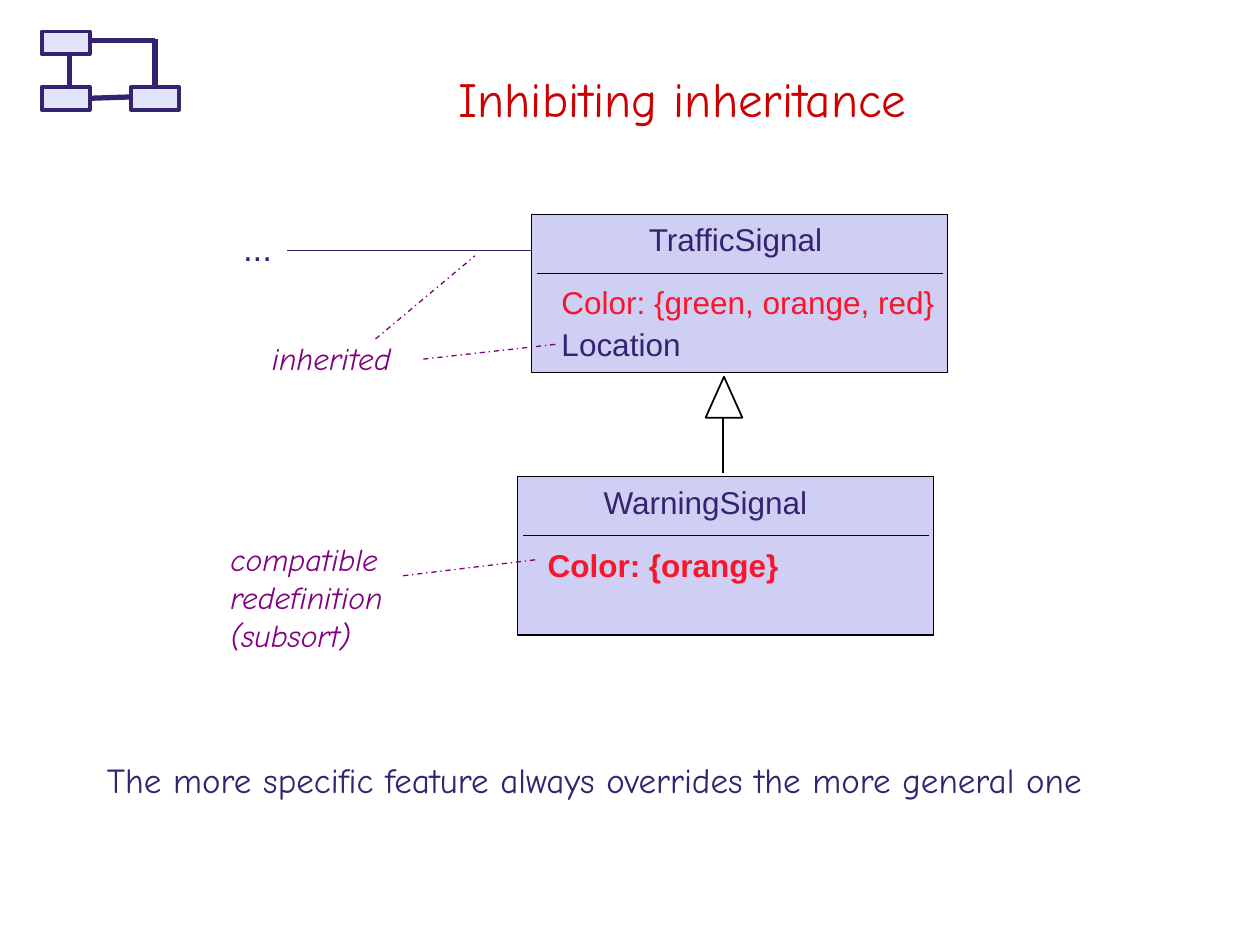
from dataclasses import dataclass

from lxml.etree import SubElement
from pptx import Presentation
from pptx.dml.color import RGBColor
from pptx.enum.dml import MSO_LINE
from pptx.enum.shapes import MSO_CONNECTOR, MSO_SHAPE
from pptx.enum.text import MSO_ANCHOR, PP_ALIGN
from pptx.oxml.ns import qn
from pptx.util import Pt


@dataclass(frozen=True)
class Theme:
    title: str = "CC0000"
    ink: str = "352270"
    changed: str = "F9152B"
    note: str = "800080"
    outline: str = "000000"
    class_fill: str = "CECFF2"
    emblem_fill: str = "E2E5FA"
    hand: str = "Comic Neue"
    sans: str = "Arial"
    title_size: int = 28
    large: int = 20
    body: int = 18


T = Theme()


def rgb(code):
    return RGBColor.from_string(code)


def write(tf, text, font=T.sans, size=T.body, color=T.ink, bold=False,
          italic=False, align=PP_ALIGN.LEFT, before=0, add=False):
    """Write one paragraph, the first one or an added one."""
    p = tf.add_paragraph() if add else tf.paragraphs[0]
    p.alignment = align
    p.space_before = Pt(before)
    r = p.add_run()
    r.text = text
    f = r.font
    f.name, f.size, f.bold, f.italic = font, Pt(size), bold, italic
    f.color.rgb = rgb(color)


def place(sp, left, top, width, height):
    sp.left, sp.top, sp.width, sp.height = map(Pt, (left, top, width, height))


def text_box(s, left, top, width, height, *lines, **fmt):
    sp = s.shapes.add_textbox(Pt(left), Pt(top), Pt(width), Pt(height))
    tf = sp.text_frame
    tf.word_wrap = True
    for i, line in enumerate(lines):
        write(tf, line, add=i > 0, **fmt)
    return tf


def shape(s, kind, left, top, width, height, line, weight, fill=None):
    sp = s.shapes.add_shape(kind, Pt(left), Pt(top), Pt(width), Pt(height))
    sp.shadow.inherit = False
    if fill:
        sp.fill.solid()
        sp.fill.fore_color.rgb = rgb(fill)
    else:
        sp.fill.background()
    sp.line.color.rgb = rgb(line)
    sp.line.width = Pt(weight)
    return sp


def line(s, x1, y1, x2, y2, color=T.outline, weight=0.75, dash=None):
    c = s.shapes.add_connector(MSO_CONNECTOR.STRAIGHT,
                               Pt(x1), Pt(y1), Pt(x2), Pt(y2))
    c.line.color.rgb = rgb(color)
    c.line.width = Pt(weight)
    if dash:
        c.line.dash_style = dash
    SubElement(c._element.spPr, qn("a:effectLst"))


def note_line(s, *ends):
    line(s, *ends, color=T.note, dash=MSO_LINE.DASH_DOT)


def class_box(s, left, top, name, indent):
    """Draw a class with its name and divider; return its attribute text."""
    sp = shape(s, MSO_SHAPE.RECTANGLE, left, top, 237.6, 90.7,
               T.outline, 0.75, T.class_fill)
    tf = sp.text_frame
    tf.vertical_anchor = MSO_ANCHOR.TOP
    tf.margin_left = Pt(indent)
    write(tf, name)
    line(s, left + 3, top + 33.8, left + 234.8, top + 33.8)
    return text_box(s, left + 10, top + 36, 230, 58)


def emblem(s):
    for left, top in ((23.8, 18), (74.9, 49.7), (23.8, 49.7)):
        shape(s, MSO_SHAPE.RECTANGLE, left, top, 27.4, 13,
              T.ink, 2.25, T.emblem_fill)
    for ends in ((50.4, 56.2, 74.9, 55.4), (88.6, 49, 88.6, 22.3),
                 (51.8, 23, 88.6, 23), (39.6, 50.4, 39.6, 30.2)):
        line(s, *ends, color=T.ink, weight=3)


def main():
    prs = Presentation()
    prs.slide_width, prs.slide_height = Pt(720), Pt(540)
    s = prs.slides.add_slide(prs.slide_layouts[5])

    # Title
    title = s.shapes.title
    place(title, 75.6, 23.8, 628.6, 64.1)
    title.text_frame.vertical_anchor = MSO_ANCHOR.MIDDLE
    write(title.text_frame, "Inhibiting inheritance", font=T.hand,
          size=T.title_size, color=T.title, align=PP_ALIGN.CENTER)

    # General class and its association
    line(s, 164.2, 143.3, 342, 143.3, color=T.ink)
    tf = class_box(s, 303.8, 122.4, "TrafficSignal", 67)
    write(tf, "Color: {green, orange, red}", color=T.changed)
    write(tf, "Location", before=2, add=True)
    text_box(s, 131.8, 126, 50.4, 38.2, "...", size=T.large)

    # Generalization arrow
    shape(s, MSO_SHAPE.ISOSCELES_TRIANGLE, 403.2, 215.3, 21, 23.4, T.outline, 1)
    line(s, 413.3, 238.8, 413.3, 270, weight=1)

    # Specific class
    tf = class_box(s, 295.9, 272.2, "WarningSignal", 49)
    write(tf, "Color: {orange}", color=T.changed, bold=True)

    # Annotations
    note = dict(font=T.hand, color=T.note, italic=True)
    text_box(s, 148.3, 190.1, 135.4, 29.5, "inherited", **note)
    note_line(s, 241.9, 205.2, 319, 196.6)
    note_line(s, 214.6, 193.7, 271.4, 146.2)
    text_box(s, 124.6, 305.3, 123.1, 75.6,
             "compatible redefinition", "(subsort)", **note)
    note_line(s, 230.4, 329, 307.4, 319.7)

    # Corner emblem
    emblem(s)

    # Conclusion
    text_box(s, 54, 429.8, 629.3, 38.9,
             "The more specific feature always overrides the more general one",
             font=T.hand, size=T.large)

    prs.save("out.pptx")


if __name__ == "__main__":
    main()
